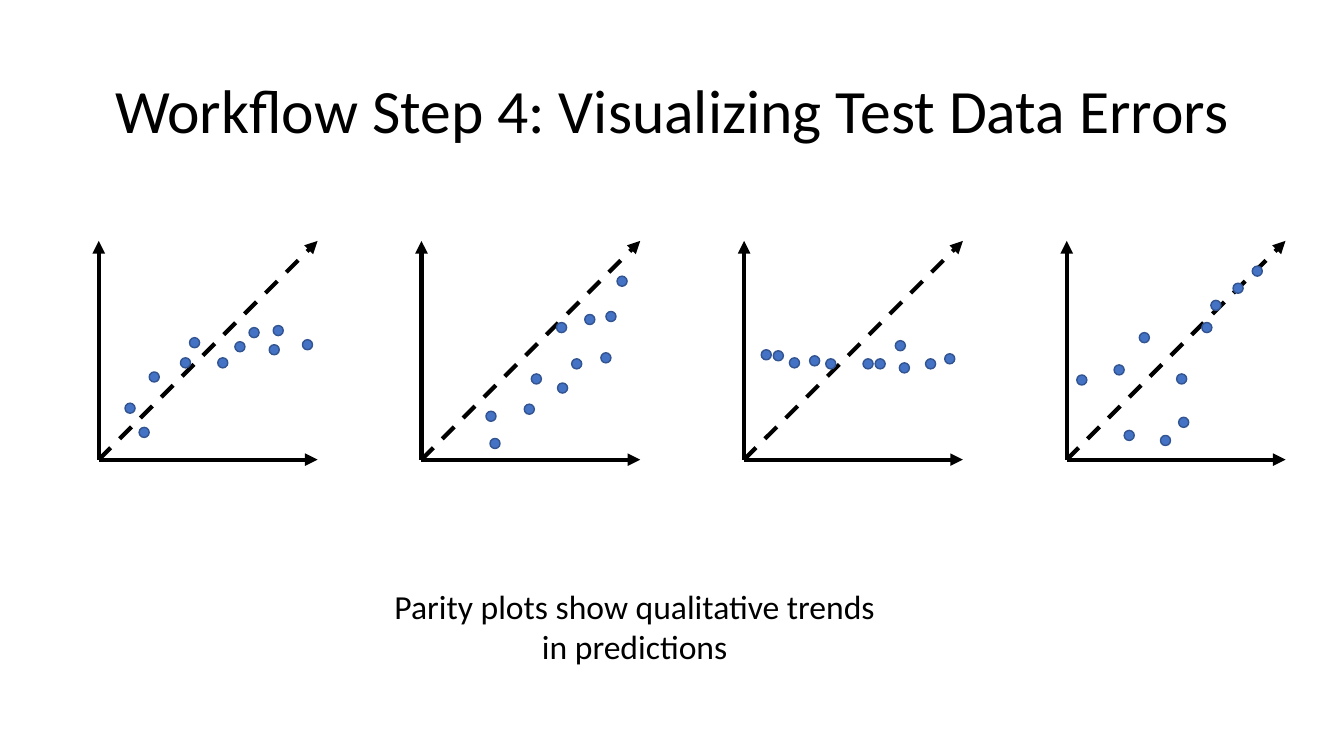
from lxml.etree import SubElement
from pptx import Presentation
from pptx.dml.color import RGBColor
from pptx.enum.dml import MSO_LINE
from pptx.enum.shapes import MSO_CONNECTOR, MSO_SHAPE
from pptx.enum.text import MSO_ANCHOR, MSO_AUTO_SIZE, PP_ALIGN
from pptx.oxml.ns import qn
from pptx.util import Inches, Pt

TITLE = "Workflow Step 4: Visualizing Test Data Errors"
CAPTION = "Parity plots show qualitative trends in predictions"

# Dot centres of each plot, in inches right of and above its origin
PLOTS = [
    [(0.31, 0.51), (0.86, 0.96), (0.45, 0.27), (0.95, 1.16), (0.55, 0.82), (1.23, 0.96),
     (1.54, 1.26), (2.07, 1.14), (1.78, 1.28), (1.74, 1.09), (1.40, 1.12)],
    [(1.40, 0.71), (1.07, 0.50), (0.73, 0.16), (1.14, 0.80), (0.69, 0.43), (1.54, 0.95),
     (1.88, 1.42), (1.99, 1.77), (1.67, 1.39), (1.83, 1.01), (1.39, 1.31)],
    [(0.22, 1.04), (0.86, 0.95), (0.34, 1.03), (0.70, 0.98), (0.50, 0.96), (1.23, 0.95),
     (2.04, 1.00), (1.85, 0.95), (1.55, 1.13), (1.59, 0.91), (1.35, 0.95)],
    [(1.16, 0.37), (0.98, 0.19), (0.62, 0.24), (1.14, 0.80), (0.15, 0.79), (1.48, 1.53),
     (1.70, 1.70), (1.89, 1.87), (0.52, 0.89), (0.77, 1.21), (1.39, 1.31)],
]
FIRST_ORIGIN, PLOT_PITCH, BASELINE = 0.98, 3.2, 4.56
AXIS_LENGTH, DOT_SIZE = 2.17, 0.1
# Direction of each arrow from the origin, and its dash style
ARROWS = [((1, 1), MSO_LINE.DASH), ((1, 0), None), ((0, 1), None)]
BLACK, DOT_FILL, DOT_LINE = "000000", "4472C4", "325491"


def color(value):
    return RGBColor.from_string(value)


def write_text(shape, text, size, line_spacing):
    frame = shape.text_frame
    frame.word_wrap = True
    frame.text = text
    paragraph = frame.paragraphs[0]
    paragraph.alignment = PP_ALIGN.CENTER
    paragraph.line_spacing = line_spacing
    for name, value in {"name": "Calibri", "size": Pt(size)}.items():
        setattr(paragraph.font, name, value)
    paragraph.font.color.rgb = color(BLACK)
    return frame


def add_arrow(shapes, start_x, start_y, end_x, end_y, dash):
    arrow = shapes.add_connector(
        MSO_CONNECTOR.STRAIGHT, *map(Inches, (start_x, start_y, end_x, end_y)))
    arrow.line.color.rgb = color(BLACK)
    arrow.line.width = Pt(3)
    if dash:
        arrow.line.dash_style = dash
    SubElement(arrow.line._get_or_add_ln(), qn("a:tailEnd"), type="triangle")
    SubElement(arrow._element.spPr, qn("a:effectLst"))


def add_dot(shapes, center_x, center_y):
    dot = shapes.add_shape(
        MSO_SHAPE.OVAL, Inches(center_x - DOT_SIZE / 2), Inches(center_y - DOT_SIZE / 2),
        Inches(DOT_SIZE), Inches(DOT_SIZE))
    dot.shadow.inherit = False
    dot.fill.solid()
    dot.fill.fore_color.rgb = color(DOT_FILL)
    dot.line.color.rgb = color(DOT_LINE)
    dot.line.width = Pt(1)


def add_parity_plot(slide, origin_x, points):
    shapes = slide.shapes.add_group_shape().shapes
    for (right, up), dash in ARROWS:
        add_arrow(shapes, origin_x, BASELINE, origin_x + right * AXIS_LENGTH,
                  BASELINE - up * AXIS_LENGTH, dash)
    for right, up in points:
        add_dot(shapes, origin_x + right, BASELINE - up)


def main():
    presentation = Presentation()
    presentation.slide_width, presentation.slide_height = Inches(13.33), Inches(7.5)
    slide = presentation.slides.add_slide(presentation.slide_layouts[5])

    title = slide.shapes.title
    title_box = {"left": 0.92, "top": 0.4, "width": 11.5, "height": 1.45}
    for name, value in title_box.items():
        setattr(title, name, Inches(value))
    title_frame = write_text(title, TITLE, 44, 0.9)
    title_frame.vertical_anchor = MSO_ANCHOR.MIDDLE
    title_frame.auto_size = MSO_AUTO_SIZE.NONE

    for index, points in enumerate(PLOTS):
        add_parity_plot(slide, FIRST_ORIGIN + index * PLOT_PITCH, points)

    caption = slide.shapes.add_textbox(*map(Inches, (3.71, 5.76, 5.17, 0.91)))
    write_text(caption, CAPTION, 24, 1.0).auto_size = MSO_AUTO_SIZE.SHAPE_TO_FIT_TEXT

    presentation.save("out.pptx")


if __name__ == "__main__":
    main()
